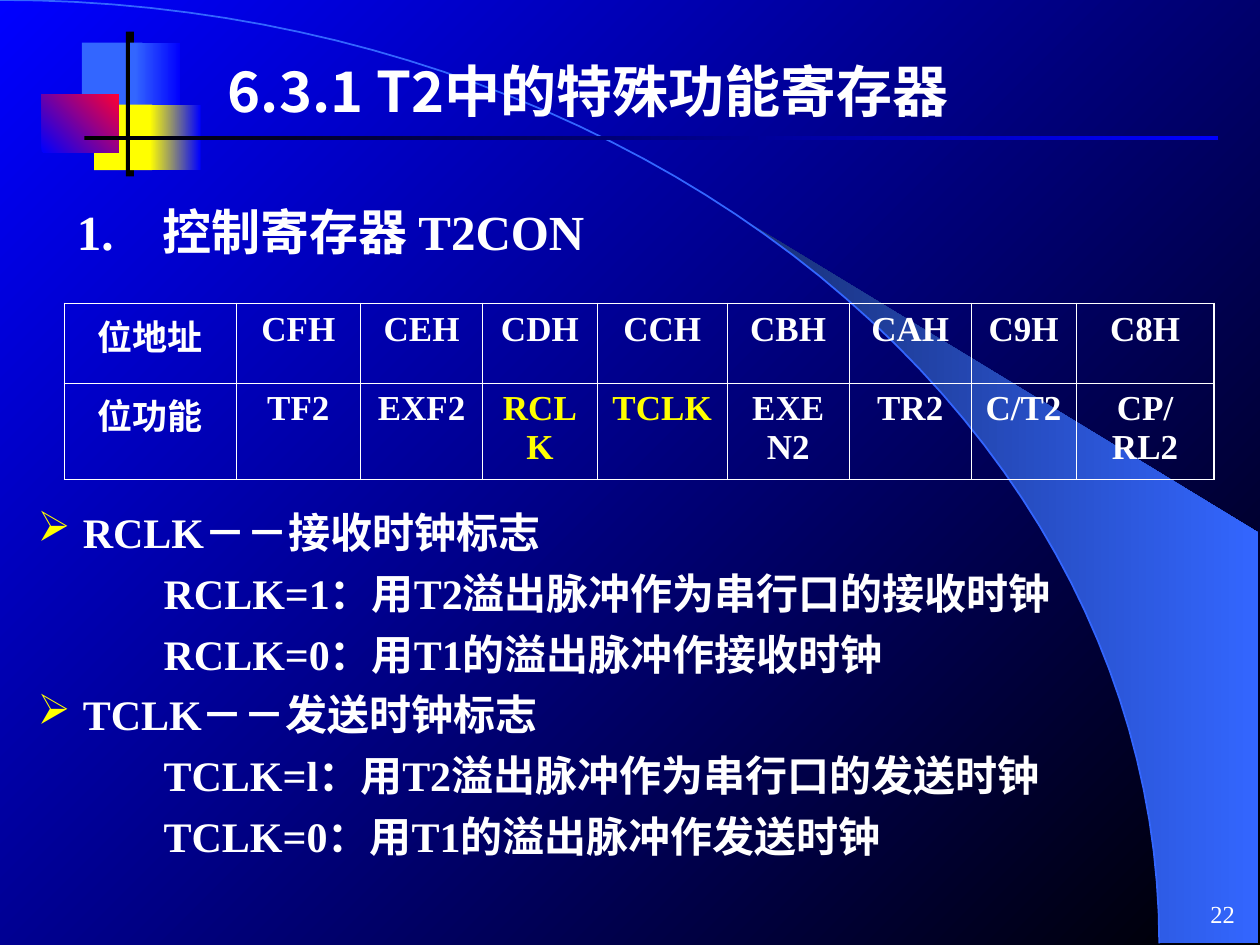
from math import acos, cos, pi, sin

from lxml import etree
from pptx import Presentation
from pptx.dml.color import RGBColor
from pptx.enum.shapes import MSO_SHAPE
from pptx.enum.text import MSO_ANCHOR, MSO_AUTO_SIZE, PP_ALIGN
from pptx.oxml.ns import qn
from pptx.util import Cm, Pt

RECTANGLE = MSO_SHAPE.RECTANGLE
LEFT, CENTER = PP_ALIGN.LEFT, PP_ALIGN.CENTER
TOP, MIDDLE = MSO_ANCHOR.TOP, MSO_ANCHOR.MIDDLE
NO_AUTOFIT = MSO_AUTO_SIZE.NONE
TITLE_ONLY = 5

THEME = {
    "white": "FFFFFF", "black": "000000", "blue": "0000FF", "sky": "3366FF",
    "navy": "182F76", "yellow": "FFFF00", "red": "FF0033",
    "latin": "Times New Roman", "chinese": "Noto Sans CJK SC",
    "title": 32, "heading": 28, "body": 24, "table": 20, "number": 14,
    "outer_line": 1.08, "inner_line": 0.45,
}

TITLE = "6.3.1 T2中的特殊功能寄存器"
HEADING = "1.\t控制寄存器 T2CON"
PAGE_NUMBER = "22"
REGISTER_BITS = [
    ["位地址", "CFH", "CEH", "CDH", "CCH", "CBH", "CAH", "C9H", "C8H"],
    ["位功能", "TF2", "EXF2", "RCLK", "TCLK", "EXEN2", "TR2", "C/T2", "CP/RL2"],
]
HIGHLIGHTED = {"RCLK", "TCLK"}
COLUMN_WIDTHS = [3.46, 2.51, 2.46, 2.31, 2.62, 2.46, 2.46, 2.11, 2.79]
ROW_HEIGHTS = [1.6, 1.94]
FLAGS = [
    ("RCLK－－接收时钟标志",
     ["RCLK=1：用T2溢出脉冲作为串行口的接收时钟", "RCLK=0：用T1的溢出脉冲作接收时钟"]),
    ("TCLK－－发送时钟标志",
     ["TCLK=l：用T2溢出脉冲作为串行口的发送时钟", "TCLK=0：用T1的溢出脉冲作发送时钟"]),
]

# left, top, width, height in cm; one colour, or two colours and an angle
ORNAMENTS = [
    ((2.62, 0.64, 0.08, 2.92), ["black"], 0),
    ((1.65, 0.86, 1.22, 1.32), ["sky"], 0),
    ((2.72, 0.86, 0.91, 1.32), ["sky", "blue"], 0),
    ((1.9, 2.11, 1.17, 1.32), ["yellow"], 0),
    ((3.02, 2.11, 1.02, 1.32), ["yellow", "blue"], 0),
    ((0.84, 1.9, 1.55, 1.17), ["blue", "red"], 45),
    ((2.54, 0.64, 0.08, 2.92), ["black"], 0),
    ((1.7, 2.74, 22.86, 0.08), ["black", "blue"], 0),
]
ARC_WIDTH, ARC_HEIGHT = 23.37, 19.02
WEDGE_LEFT = 14.96
WEDGE_CORNERS = [(25.37, 19.02), (25.37, 10.74)]


def color(name):
    return RGBColor.from_string(THEME[name])


def paint(fill, names, angle=0):
    if len(names) == 1:
        fill.solid()
        fill.fore_color.rgb = color(names[0])
        return
    fill.gradient()
    fill.gradient_angle = angle
    for stop, name, position in zip(fill.gradient_stops, names, (0, 1)):
        stop.color.rgb = color(name)
        stop.position = position


def arc_points(start, steps=48):
    """Points on the quarter ellipse, from an angle in radians down to zero."""
    angles = [start * (1 - step / steps) for step in range(steps + 1)]
    return [(ARC_WIDTH * cos(a), ARC_HEIGHT * (1 - sin(a))) for a in angles]


def add_outline(slide, points, close):
    points = [(Cm(x), Cm(y)) for x, y in points]
    builder = slide.shapes.build_freeform(*points[0], scale=1.0)
    builder.add_line_segments(points[1:], close=close)
    shape = builder.convert_to_shape()
    shape.shadow.inherit = False
    return shape


def write(para, text, size, tint="white", latin="latin", bold=True, align=LEFT,
          indent=0, hanging=0, before=0, line=None, bullet=None):
    props = para._p.get_or_add_pPr()
    props.set("marL", str(Cm(indent)))
    props.set("indent", str(-Cm(hanging)))
    if bullet:
        bullet_color = etree.SubElement(props, qn("a:buClr"))
        etree.SubElement(bullet_color, qn("a:srgbClr"), val=THEME["yellow"])
        etree.SubElement(props, qn("a:buChar"), char=bullet)
    para.alignment = align
    para.space_before = Pt(before)
    if line:
        para.line_spacing = Pt(line)
    span = para.add_run()
    span.text = text
    span.font.size, span.font.bold = Pt(THEME[size]), bold
    span.font.name = THEME[latin]
    span.font.color.rgb = color(tint)
    etree.SubElement(span._r.rPr, qn("a:ea"), typeface=THEME["chinese"])


def place(shape, left, top, width, height):
    shape.left, shape.top = Cm(left), Cm(top)
    shape.width, shape.height = Cm(width), Cm(height)


def add_box(slide, left, top, width, height, anchor=TOP):
    box = slide.shapes.add_textbox(Cm(left), Cm(top), Cm(width), Cm(height))
    box.text_frame.word_wrap = True
    box.text_frame.vertical_anchor = anchor
    return box.text_frame


def add_backdrop(slide):
    paint(slide.background.fill, ["blue", "black"], 315)
    wedge_points = arc_points(acos(WEDGE_LEFT / ARC_WIDTH)) + WEDGE_CORNERS
    wedge = add_outline(slide, wedge_points, close=True)
    paint(wedge.fill, ["navy", "sky"])
    wedge.line.fill.background()
    arc = add_outline(slide, arc_points(pi / 2), close=False)
    arc.fill.background()
    arc.line.color.rgb = color("sky")
    arc.line.width = Pt(1)
    for (left, top, width, height), names, angle in ORNAMENTS:
        block = slide.shapes.add_shape(RECTANGLE, Cm(left), Cm(top), Cm(width), Cm(height))
        block.shadow.inherit = False
        block.line.fill.background()
        paint(block.fill, names, angle)


def add_border(cell, side, outer):
    width = Pt(THEME["outer_line" if outer else "inner_line"])
    line = etree.SubElement(cell._tc.get_or_add_tcPr(), qn(f"a:ln{side}"), w=str(width))
    fill = etree.SubElement(line, qn("a:solidFill"))
    etree.SubElement(fill, qn("a:srgbClr"), val=THEME["white"])


def add_register_table(slide):
    rows, columns = len(ROW_HEIGHTS), len(COLUMN_WIDTHS)
    table = slide.shapes.add_table(rows, columns, Cm(1.3), Cm(6.12),
                                   Cm(sum(COLUMN_WIDTHS)), Cm(sum(ROW_HEIGHTS))).table
    table.first_row = table.horz_banding = False
    for column, width in zip(table.columns, COLUMN_WIDTHS):
        column.width = Cm(width)
    for r, (height, texts) in enumerate(zip(ROW_HEIGHTS, REGISTER_BITS)):
        table.rows[r].height = Cm(height)
        for c, text in enumerate(texts):
            cell = table.cell(r, c)
            edges = {"L": c == 0, "R": c == columns - 1, "T": r == 0, "B": r == rows - 1}
            for side, outer in edges.items():
                add_border(cell, side, outer)
            cell.fill.background()
            write(cell.text_frame.paragraphs[0], text, "table", align=CENTER,
                  tint="yellow" if text in HIGHLIGHTED else "white",
                  latin="chinese" if c == 0 else "latin")


def add_flags(slide):
    frame = add_box(slide, 0.51, 10.08, 24.21, 7.42)
    lines = []
    for flag, meanings in FLAGS:
        lines.append((flag, {"indent": 0.91, "hanging": 0.91, "bullet": "➢"}))
        lines += [(meaning, {"indent": 2.54}) for meaning in meanings]
    for index, (text, style) in enumerate(lines):
        para = frame.add_paragraph() if index else frame.paragraphs[0]
        write(para, text, "body", before=6 if index else 0, line=28.8, **style)


def main():
    deck = Presentation()
    deck.slide_width, deck.slide_height = Cm(25.4), Cm(19.05)
    page = deck.slides.add_slide(deck.slide_layouts[TITLE_ONLY])
    add_backdrop(page)

    number = add_box(page, 23.9, 17.78, 1.5, 1.27, anchor=MIDDLE)
    write(number.paragraphs[0], PAGE_NUMBER, "number", bold=False, align=CENTER)
    heading = add_box(page, 1.3, 3.94, 13.23, 1.45)
    write(heading.paragraphs[0], HEADING, "heading", indent=1.73, hanging=1.73, line=33.6)
    add_register_table(page)

    title = page.shapes.title
    place(title, 4.34, 0.91, 17.75, 1.8)
    title.text_frame.auto_size = NO_AUTOFIT
    title.text_frame.vertical_anchor = MIDDLE
    write(title.text_frame.paragraphs[0], TITLE, "title", latin="chinese")
    page.shapes._spTree.append(title._element)  # bring in front of the backdrop
    add_flags(page)
    deck.save("out.pptx")


if __name__ == "__main__":
    main()
